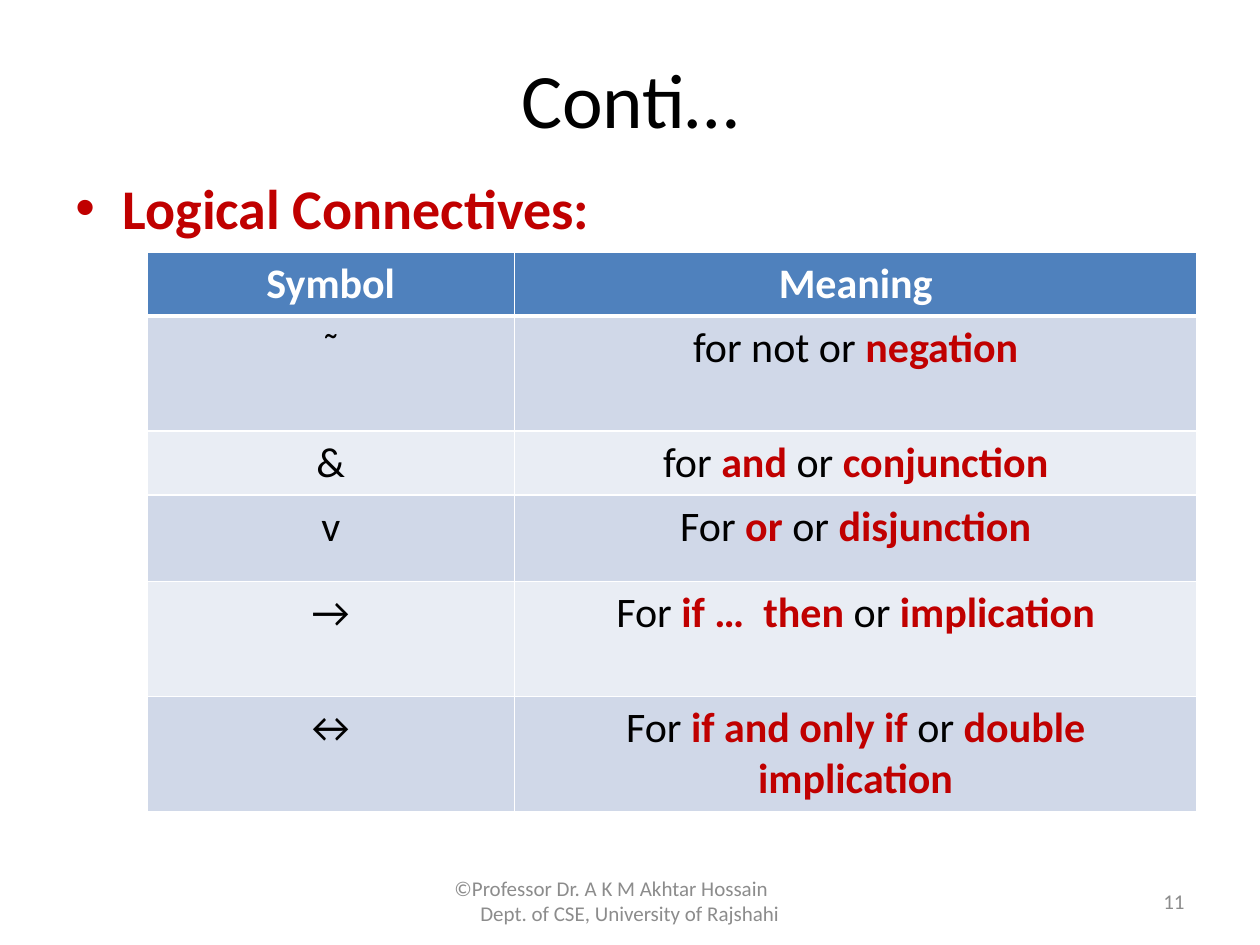
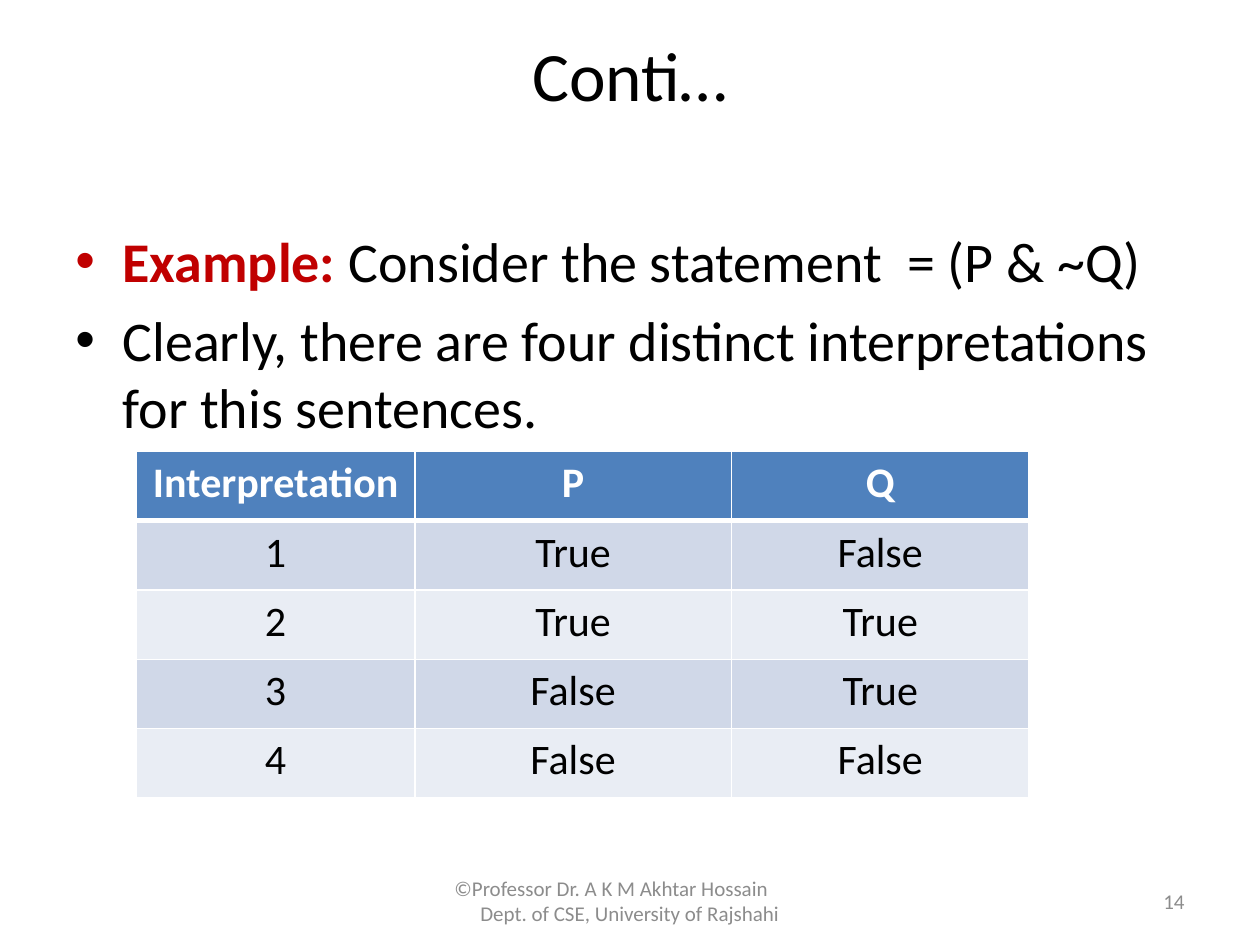
from lxml import etree
from pptx import Presentation
from pptx.dml.color import RGBColor
from pptx.enum.text import MSO_ANCHOR, PP_ALIGN
from pptx.oxml.ns import qn
from pptx.util import Pt

LEFT, CENTER, RIGHT = PP_ALIGN.LEFT, PP_ALIGN.CENTER, PP_ALIGN.RIGHT
TOP, MIDDLE = MSO_ANCHOR.TOP, MSO_ANCHOR.MIDDLE

FONT = "Calibri"
COLORS = {
    "text": "000000", "accent": "C00000", "footer": "8C8C8C", "white": "FFFFFF",
    "header": "4F81BD", "odd": "D0D8E8", "even": "E9EDF4",
}
FOOTER = "©Professor Dr. A K M Akhtar Hossain\vDept. of CSE, University of Rajshahi"

# In all texts, the parts between bars are emphasised: "plain |strong| plain"
SLIDES = [
    {
        "number": "11",
        "title": {"height": 68.4, "size": 44, "bottom_inset": 3.6},
        "body_top": 95.8,
        "bullets": ["|Logical Connectives:"],
        "table_at": (84, 144),
        "columns": [210, 390],
        "rows": [36.5, 65.8, 36.5, 49.5, 65.8, 65.8],
        "cells": [
            ["Symbol", "Meaning"],
            ["˜", "for not or |negation"],
            ["&", "for |and| or |conjunction"],
            ["v", "For |or |or |disjunction"],
            ["→", "For |if …  then |or |implication"],
            ["↔", "For |if and only if |or |double implication"],
        ],
    },
    {
        "number": "14",
        "title": {"height": 90, "size": 39.6, "bottom_inset": 52},
        "body_top": 126,
        "bullets": [
            "|Example: |Consider the statement  = (P & ~Q)",
            "Clearly, there are four distinct interpretations for this sentences.",
        ],
        "table_at": (78, 258),
        "columns": [159, 181, 170],
        "rows": [39.6] * 5,
        "cells": [
            ["Interpretation", "P", "Q"],
            ["1", "True", "False"],
            ["2", "True", "True"],
            ["3", "False", "True"],
            ["4", "False", "False"],
        ],
    },
]


def write(paragraph, text, size, color="text", bold=False, align=LEFT):
    """Fill a paragraph; every second part between bars is bold and red."""
    paragraph.alignment = align
    for index, part in enumerate(text.split("|")):
        if not part:
            continue
        strong = index % 2 == 1
        for line_index, line in enumerate(part.split("\v")):
            if line_index:
                paragraph.add_line_break()
            run = paragraph.add_run()
            run.text = line
            formats = {"name": FONT, "size": Pt(size), "bold": bold or strong}
            for name, value in formats.items():
                setattr(run.font, name, value)
            run.font.color.rgb = RGBColor.from_string(COLORS["accent" if strong else color])


def add_box(slide, left, top, width, height, anchor):
    """Add a wrapping text box and return its text frame."""
    shape = slide.shapes.add_textbox(Pt(left), Pt(top), Pt(width), Pt(height))
    frame = shape.text_frame
    frame.word_wrap = True
    frame.vertical_anchor = anchor
    return frame


presentation = Presentation()
presentation.slide_width = Pt(720)
presentation.slide_height = Pt(540)

for content in SLIDES:
    slide = presentation.slides.add_slide(presentation.slide_layouts[6])

    # Title
    title = content["title"]
    frame = add_box(slide, 36, 21.6, 648, title["height"], MIDDLE)
    frame.margin_bottom = Pt(title["bottom_inset"])
    write(frame.paragraphs[0], "Conti…", title["size"], align=CENTER)

    # Bullets, with a hanging indent
    frame = add_box(slide, 36, content["body_top"], 648, 482.4 - content["body_top"], TOP)
    for index, text in enumerate(content["bullets"]):
        paragraph = frame.add_paragraph() if index else frame.paragraphs[0]
        write(paragraph, text, 32)
        if index:
            paragraph.space_before = Pt(6.4)
        properties = paragraph._p.get_or_add_pPr()
        properties.set("marL", str(Pt(27)))
        properties.set("indent", str(-Pt(27)))
        etree.SubElement(properties, qn("a:buFont")).set("typeface", "Arial")
        etree.SubElement(properties, qn("a:buChar")).set("char", "•")

    # Footer, whose second line is set in further than the first
    frame = add_box(slide, 246, 500.5, 228, 28.75, MIDDLE)
    write(frame.paragraphs[0], FOOTER, 12, "footer")
    properties = frame.paragraphs[0]._p.get_or_add_pPr()
    properties.set("marL", str(Pt(21.4)))
    properties.set("indent", str(-Pt(14.8)))

    # Slide number
    frame = add_box(slide, 516, 500.5, 168, 28.75, MIDDLE)
    write(frame.paragraphs[0], content["number"], 12, "footer", align=RIGHT)

    # Table
    columns, rows = content["columns"], content["rows"]
    left, top = content["table_at"]
    table = slide.shapes.add_table(
        len(rows), len(columns), Pt(left), Pt(top), Pt(sum(columns)), Pt(sum(rows))
    ).table
    for column, width in zip(table.columns, columns):
        column.width = Pt(width)
    for row_index, (row, height) in enumerate(zip(table.rows, rows)):
        row.height = Pt(height)
        is_header = row_index == 0
        fill = "header" if is_header else "odd" if row_index % 2 else "even"
        borders = {"lnL": 1, "lnR": 1, "lnT": 3 if row_index == 1 else 1,
                   "lnB": 3 if is_header else 1}
        for cell, text in zip(row.cells, content["cells"][row_index]):
            write(cell.text_frame.paragraphs[0], text, 24,
                  "white" if is_header else "text", is_header, CENTER)
            properties = cell._tc.get_or_add_tcPr()
            for side, width in borders.items():
                line = etree.SubElement(properties, qn("a:" + side), w=str(Pt(width)))
                solid = etree.SubElement(line, qn("a:solidFill"))
                etree.SubElement(solid, qn("a:srgbClr"), val=COLORS["white"])
            cell.fill.solid()
            cell.fill.fore_color.rgb = RGBColor.from_string(COLORS[fill])

presentation.save("out.pptx")
